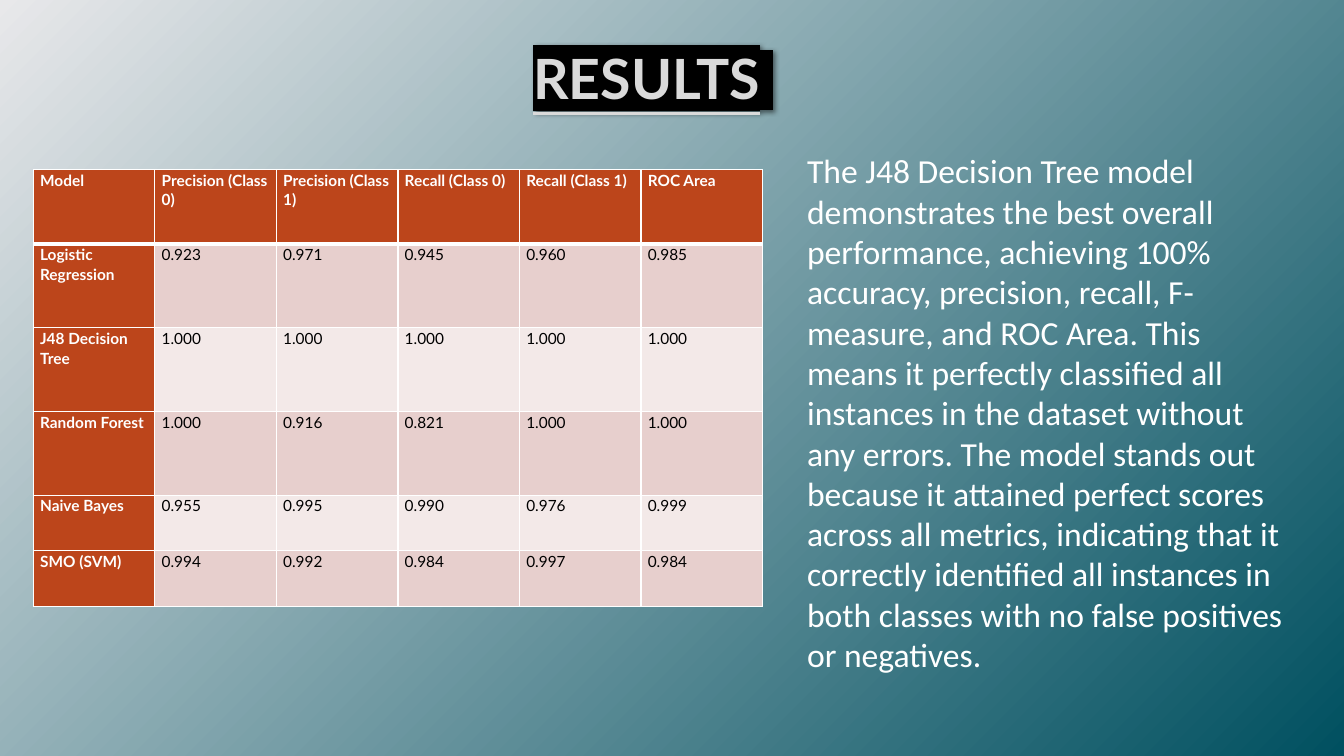
from pptx import Presentation
from pptx.dml.color import RGBColor
from pptx.enum.text import MSO_ANCHOR, PP_ALIGN
from pptx.oxml import parse_xml
from pptx.oxml.ns import nsdecls
from pptx.util import Cm, Pt

HEADER_FILL = "BC451B"
BAND_FILLS = ("E7CFCD", "F3E9E8")
ROW_HEIGHTS = (1.88, 2.11, 2.11, 2.11, 1.4, 1.4)
RESULTS = (
    ("Model", "Precision (Class 0)", "Precision (Class 1)",
     "Recall (Class 0)", "Recall (Class 1)", "ROC Area"),
    ("Logistic Regression", "0.923", "0.971", "0.945", "0.960", "0.985"),
    ("J48 Decision Tree", "1.000", "1.000", "1.000", "1.000", "1.000"),
    ("Random Forest", "1.000", "0.916", "0.821", "1.000", "1.000"),
    ("Naive Bayes", "0.955", "0.995", "0.990", "0.976", "0.999"),
    ("SMO (SVM)", "0.994", "0.992", "0.984", "0.997", "0.984"),
)
SUMMARY = (
    "The J48 Decision Tree model demonstrates the best overall performance, "
    "achieving 100% accuracy, precision, recall, F-measure, and ROC Area. "
    "This means it perfectly classified all instances in the dataset without "
    "any errors. The model stands out because it attained perfect scores "
    "across all metrics, indicating that it correctly identified all instances "
    "in both classes with no false positives or negatives."
)


def color(value):
    return RGBColor.from_string(value)


def add_run(paragraph, text, size, font, fill, bold=False, underline=False):
    run = paragraph.add_run()
    run.text = text
    run.font.size = Pt(size)
    run.font.name = font
    run.font.bold = bold
    run.font.underline = underline
    run.font.color.rgb = color(fill)
    return run


def add_text_box(slide, box):
    shape = slide.shapes.add_textbox(*(Cm(length) for length in box))
    shape.text_frame.word_wrap = True
    return shape


def paint_background(slide):
    fill = slide.background.fill
    fill.gradient()
    for stop, value in zip(fill.gradient_stops, ("005060", "E8E8EA")):
        stop.color.rgb = color(value)
    # Circular gradient centred on the bottom right corner
    gradient = slide._element.xpath(".//a:gradFill")[0]
    linear = gradient.xpath("./a:lin")[0]
    gradient.replace(linear, parse_xml(
        f'<a:path {nsdecls("a")} path="circle">'
        '<a:fillToRect l="100000" t="100000"/></a:path>'))


def highlight_run(run):
    properties = run.font._element
    # Faint outline comes before the text fill, highlight after it
    properties.insert(0, parse_xml(
        f'<a:ln {nsdecls("a")} w="9525"><a:solidFill><a:srgbClr val="404040">'
        '<a:alpha val="10000"/></a:srgbClr></a:solidFill></a:ln>'))
    properties.xpath("./a:solidFill")[0].addnext(parse_xml(
        f'<a:highlight {nsdecls("a")}><a:srgbClr val="000000"/></a:highlight>'))


def add_title(slide, box):
    shape = add_text_box(slide, box)
    shape.text_frame.vertical_anchor = MSO_ANCHOR.MIDDLE
    paragraph = shape.text_frame.paragraphs[0]
    paragraph.alignment = PP_ALIGN.CENTER
    highlight_run(add_run(paragraph, "RESULTS", 39.6, "Lato", "DADADA", True, True))
    highlight_run(add_run(paragraph, " ", 36, "Lato", "DADADA"))
    # Soft shadow behind the highlighted title
    shape._element.spPr.append(parse_xml(
        f'<a:effectLst {nsdecls("a")}><a:outerShdw blurRad="38100" dist="19050" '
        'dir="2700000"><a:srgbClr val="000000"><a:alpha val="50000"/>'
        '</a:srgbClr></a:outerShdw></a:effectLst>'))


def set_borders(cell, bottom_width):
    properties = cell._tc.get_or_add_tcPr()
    widths = (("lnL", 1), ("lnR", 1), ("lnT", 1), ("lnB", bottom_width))
    for position, (side, width) in enumerate(widths):
        properties.insert(position, parse_xml(
            f'<a:{side} {nsdecls("a")} w="{Pt(width)}"><a:solidFill>'
            f'<a:srgbClr val="FFFFFF"/></a:solidFill></a:{side}>'))


def fill_cell(cell, text, row, column):
    heading = row == 0 or column == 0
    cell.margin_left = cell.margin_right = Cm(0.17)
    cell.margin_top = cell.margin_bottom = Cm(0)
    cell.fill.solid()
    cell.fill.fore_color.rgb = color(HEADER_FILL if heading else BAND_FILLS[(row - 1) % 2])
    set_borders(cell, 3 if row == 0 else 1)
    paragraph = cell.text_frame.paragraphs[0]
    paragraph.line_spacing = 1.07
    paragraph.space_after = Pt(8)
    add_run(paragraph, text, 11, "Lato", "FFFFFF" if heading else "000000", heading)


def add_results_table(slide, left, top, width):
    column_count = len(RESULTS[0])
    table = slide.shapes.add_table(
        len(RESULTS), column_count, Cm(left), Cm(top), Cm(width),
        Cm(sum(ROW_HEIGHTS))).table
    for column in table.columns:
        column.width = Cm(width / column_count)
    for row, (height, values) in enumerate(zip(ROW_HEIGHTS, RESULTS)):
        table.rows[row].height = Cm(height)
        for column, text in enumerate(values):
            fill_cell(table.cell(row, column), text, row, column)


def add_summary(slide, box):
    shape = add_text_box(slide, box)
    add_run(shape.text_frame.paragraphs[0], SUMMARY, 24, "Calibri", "FFFFFF")


def main():
    presentation = Presentation()
    presentation.slide_width = Cm(33.87)
    presentation.slide_height = Cm(19.05)
    slide = presentation.slides.add_slide(presentation.slide_layouts[6])
    paint_background(slide)
    add_title(slide, (1.14, 1.02, 30.63, 1.85))
    add_results_table(slide, 0.84, 4.27, 18.38)
    add_summary(slide, (20.09, 3.66, 12.55, 13.59))
    presentation.save("out.pptx")


if __name__ == "__main__":
    main()
